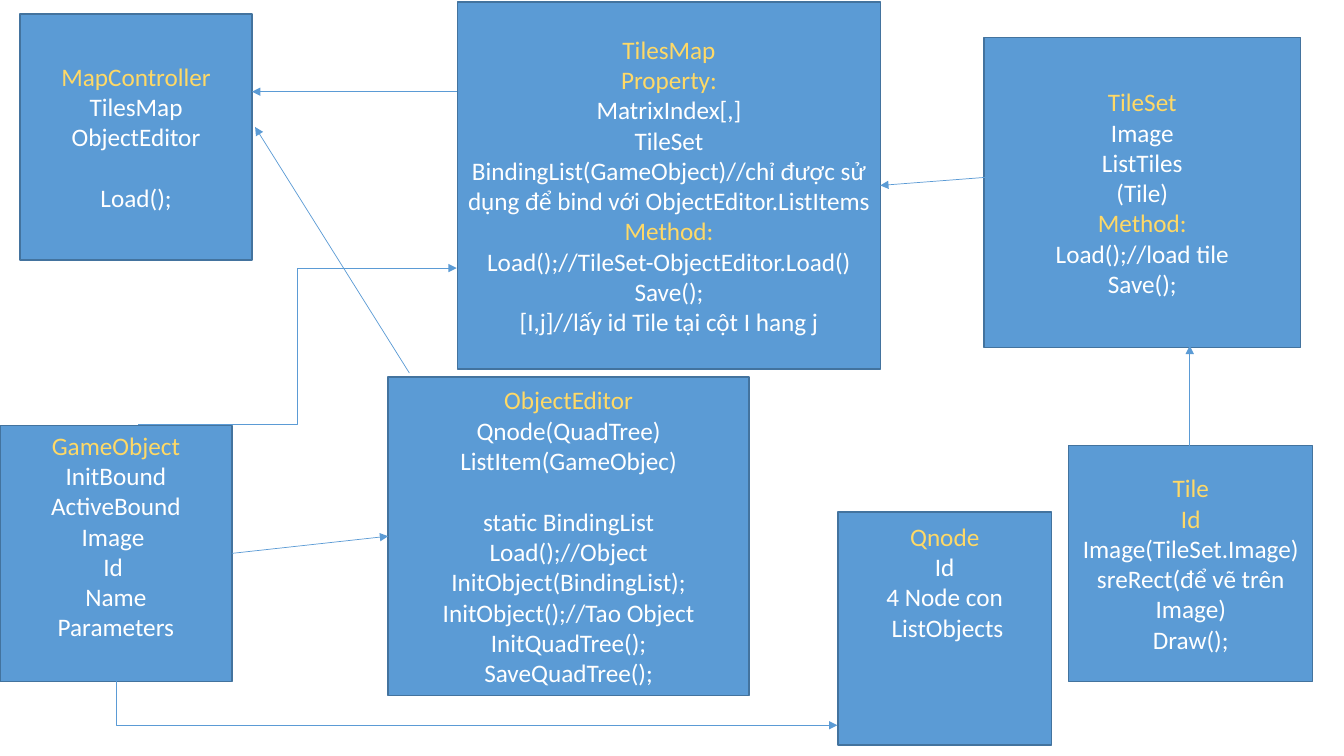
"""Build a class diagram slide of a tile map editor."""
import pptx
import pptx.util
import pptx.dml.color
import pptx.enum.shapes
import pptx.enum.text
import pptx.oxml
import pptx.oxml.ns

Inches = pptx.util.Inches
Pt = pptx.util.Pt
RGB = pptx.dml.color.RGBColor
LINKS = pptx.enum.shapes.MSO_CONNECTOR
ANCHORS = pptx.enum.text.MSO_ANCHOR

THEME = {
    "box": RGB.from_string("5B9BD5"),
    "border": RGB.from_string("43739E"),
    "heading": RGB.from_string("FFD966"),
    "member": RGB.from_string("FFFFFF"),
    "font": {"name": "Calibri", "size": Pt(18)},
    "gap": Pt(22),
    "border_width": Pt(1),
    "link_width": Pt(0.5),
}

CLASSES = [
    {"at": (0.2, 0.14, 2.3, 2.44),
     "headings": ["MapController"],
     "lines": ["MapController", "TilesMap", "ObjectEditor", "Load();"],
     "gap_before": "Load();"},
    {"at": (4.54, 0.02, 4.19, 3.64),
     "headings": ["TilesMap", "Property:", "Method:"],
     "lines": ["TilesMap", "Property:", "MatrixIndex[,]", "TileSet",
               "BindingList(GameObject)//chỉ được sử dụng để bind với ObjectEditor.ListItems",
               "Method:", "Load();//TileSet-ObjectEditor.Load()", "Save();",
               "[I,j]//lấy id Tile tại cột I hang j"]},
    {"at": (9.76, 0.37, 3.14, 3.08),
     "headings": ["TileSet", "Method:"],
     "lines": ["TileSet", "Image", "ListTiles", "(Tile)", "Method:",
               "Load();//load tile", "Save();"]},
    {"at": (10.6, 4.42, 2.42, 2.34),
     "headings": ["Tile", "Id"],
     "lines": ["Tile", "Id", "Image(TileSet.Image)",
               "sreRect(để vẽ trên Image)", "Draw();"]},
    {"at": (3.85, 3.74, 3.58, 3.16),
     "headings": ["ObjectEditor"],
     "lines": ["ObjectEditor", "Qnode(QuadTree)", "ListItem(GameObjec)",
               "static BindingList", "Load();//Object", "InitObject(BindingList);",
               "InitObject();//Tao Object", "InitQuadTree();", "SaveQuadTree();"],
     "gap_before": "static BindingList"},
    {"at": (8.31, 5.08, 2.12, 2.31),
     "headings": ["Qnode"],
     "lines": ["Qnode", "Id", "4 Node con", " ListObjects"],
     "frame": {"vertical_anchor": ANCHORS.TOP, "margin_top": Inches(0.09)}},
    {"at": (0, 4.22, 2.3, 2.54),
     "headings": ["GameObject"],
     "lines": ["GameObject", "InitBound", "ActiveBound", "Image ", "Id ",
               "Name", "Parameters"],
     "frame": {"vertical_anchor": ANCHORS.TOP}},
]

RELATIONS = [
    (LINKS.STRAIGHT, (11.8, 4.42, 11.8, 3.43), {}, {}),
    (LINKS.STRAIGHT, (9.77, 1.76, 8.73, 1.84), {}, {}),
    (LINKS.ELBOW, (4.95, 3.4, 4.51, 10.55), {"rot": "16200000"}, {"prst": "bentConnector2"}),
    (LINKS.ELBOW, (1.37, 4.21, 4.53, 2.66), {}, {}),
    (LINKS.STRAIGHT, (4.53, 0.91, 2.5, 0.91), {}, {}),
    (LINKS.STRAIGHT, (4.06, 3.7, 2.53, 1.26), {}, {}),
    (LINKS.STRAIGHT, (2.3, 5.49, 3.85, 5.32), {}, {}),
]


def set_all(target, values):
    """Set every named attribute on the target."""
    for name, value in values.items():
        setattr(target, name, value)


deck = pptx.Presentation()
set_all(deck, {"slide_width": Inches(13.33), "slide_height": Inches(7.5)})
diagram = deck.slides.add_slide(deck.slide_layouts[6])

for entry in CLASSES:
    class_box = diagram.shapes.add_shape(
        pptx.enum.shapes.MSO_SHAPE.RECTANGLE, *map(Inches, entry["at"]))
    class_box.shadow.inherit = False
    class_box.fill.solid()
    class_box.fill.fore_color.rgb = THEME["box"]
    class_box.line.color.rgb = THEME["border"]
    class_box.line.width = THEME["border_width"]
    members = class_box.text_frame
    set_all(members, {"word_wrap": True, "vertical_anchor": ANCHORS.MIDDLE,
                      **entry.get("frame", {})})
    for number, line in enumerate(entry["lines"]):
        member = members.add_paragraph() if number else members.paragraphs[0]
        member.alignment = pptx.enum.text.PP_ALIGN.CENTER
        if line == entry.get("gap_before"):
            member.space_before = THEME["gap"]
        wording = member.add_run()
        wording.text = line
        set_all(wording.font, THEME["font"])
        role = "heading" if line in entry["headings"] else "member"
        wording.font.color.rgb = THEME[role]

for kind, ends, turn, geometry in RELATIONS:
    relation = diagram.shapes.add_connector(kind, *map(Inches, ends))
    relation.line.color.rgb = THEME["box"]
    relation.line.width = THEME["link_width"]
    properties = relation.element.spPr
    arrowhead = pptx.oxml.ns.qn("a:tailEnd")
    outline = properties.find(pptx.oxml.ns.qn("a:ln"))
    outline.append(outline.makeelement(arrowhead, {"type": "triangle"}))
    properties.append(properties.makeelement(pptx.oxml.ns.qn("a:effectLst"), {}))
    for tag, changes in (("a:xfrm", turn), ("a:prstGeom", geometry)):
        for name, value in changes.items():
            properties.find(pptx.oxml.ns.qn(tag)).set(name, value)

deck.save("out.pptx")
